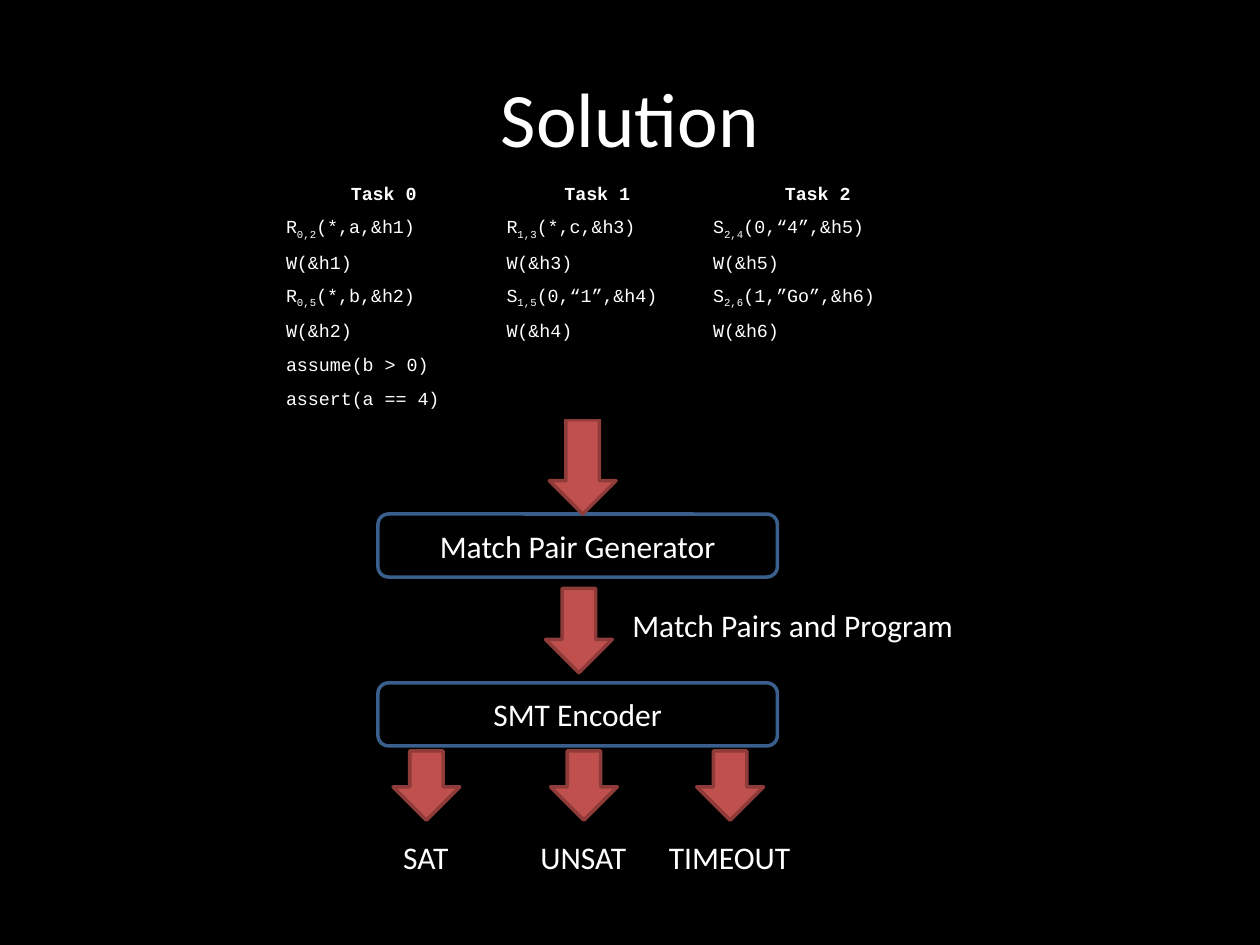
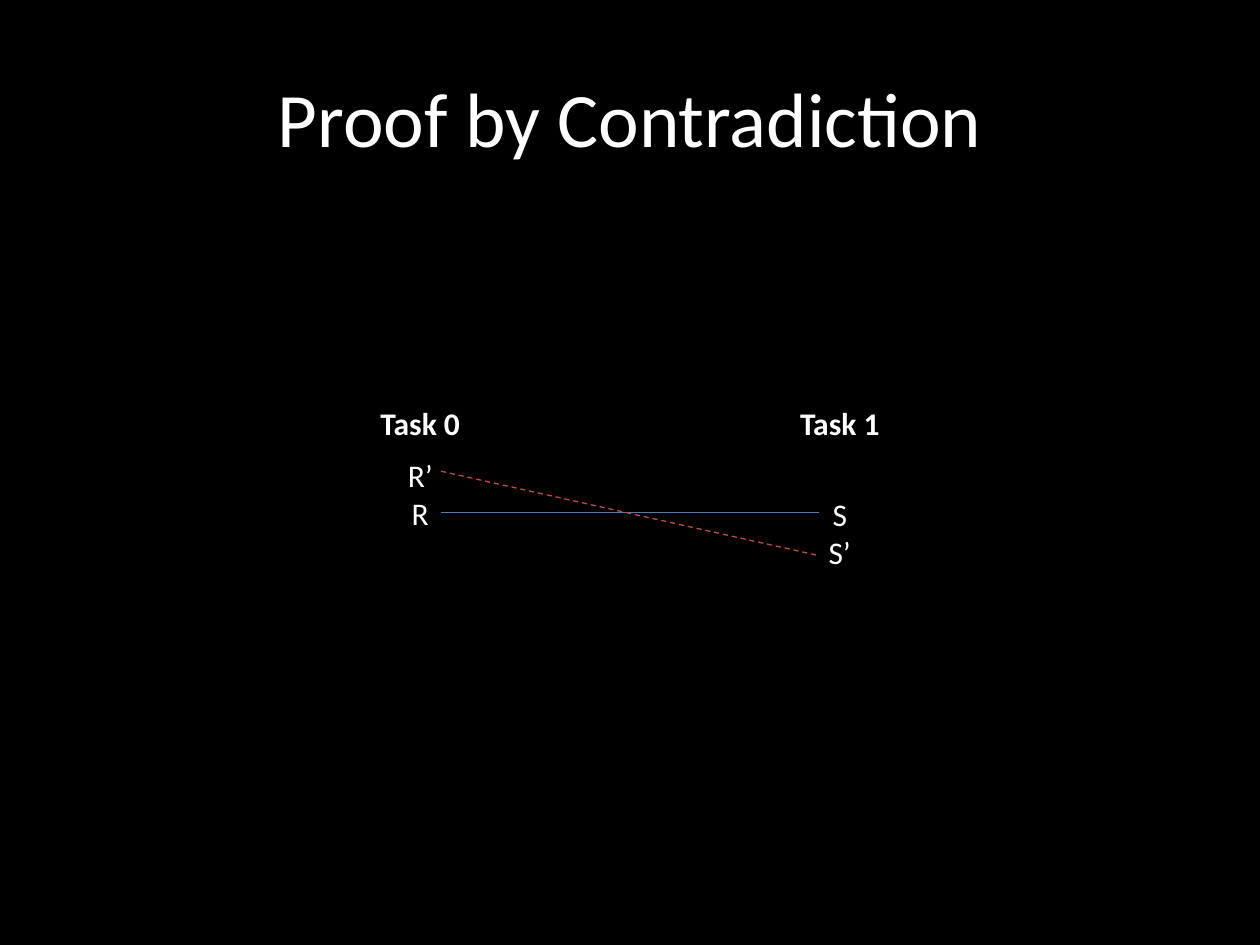
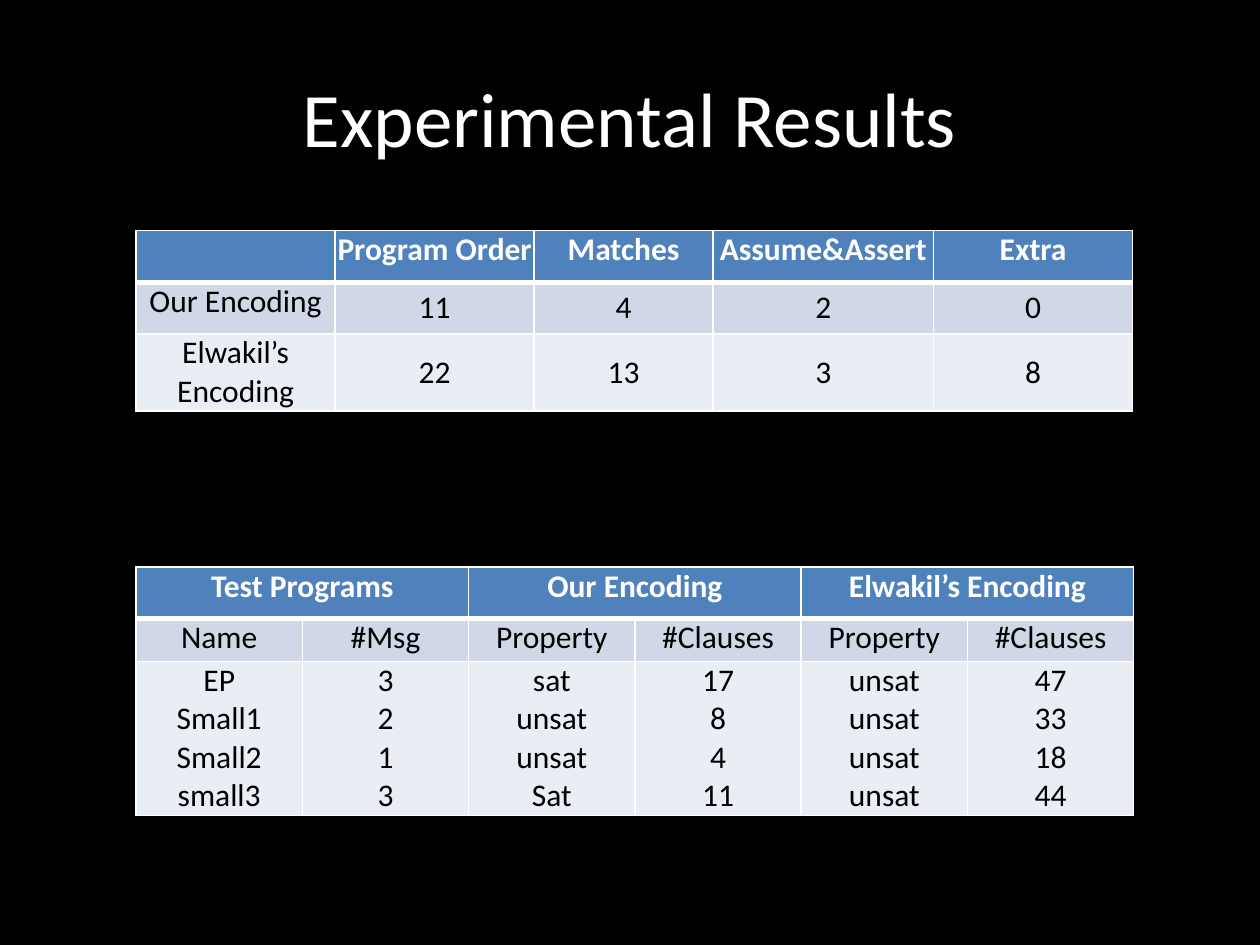
from dataclasses import dataclass
from typing import Optional

from lxml.etree import SubElement
from pptx import Presentation
from pptx.dml.color import RGBColor
from pptx.enum.dml import MSO_LINE
from pptx.enum.shapes import MSO_CONNECTOR, MSO_SHAPE
from pptx.enum.text import MSO_ANCHOR, PP_ALIGN
from pptx.oxml.ns import qn
from pptx.util import Inches, Pt

# Shared look
BLACK = RGBColor(0x00, 0x00, 0x00)
WHITE = RGBColor(0xFF, 0xFF, 0xFF)
NAVY = RGBColor(0x3A, 0x5F, 0x8C)
RED = RGBColor(0xC0, 0x50, 0x4D)
MAROON = RGBColor(0x8E, 0x3B, 0x39)
BLUE = RGBColor(0x4B, 0x7E, 0xBC)
ROSE = RGBColor(0xBF, 0x4C, 0x48)
HEAD = RGBColor(0x4F, 0x81, 0xBD)
BAND = RGBColor(0xD0, 0xD8, 0xE8)
PALE = RGBColor(0xE9, 0xED, 0xF4)
SANS, MONO = "Calibri", "Courier New"
LEFT, MID = PP_ALIGN.LEFT, PP_ALIGN.CENTER
PLAIN = "{2D5ABB26-0587-4C30-8999-92F81FD0307C}"  # table style without grid


@dataclass
class Box:
    x: float
    y: float
    w: float
    h: float

    def lens(self) -> tuple:
        return tuple(Inches(v) for v in (self.x, self.y, self.w, self.h))


@dataclass
class Link:
    start: tuple
    end: tuple
    color: RGBColor
    dash: bool = False


@dataclass
class Grid:
    x: float
    y: float
    cols: list
    rows: list
    cells: list


def put(frame, text: str, *, size: float = 18, font: str = SANS,
        color: RGBColor = WHITE, bold: bool = False, align=MID) -> None:
    """Write lines of text; parts between bars are subscripts."""
    for i, line in enumerate(text.split("\n")):
        para = frame.paragraphs[0] if i == 0 else frame.add_paragraph()
        para.alignment = align
        if not line:  # an empty cell still needs its text size
            SubElement(para._p, qn("a:endParaRPr"), sz=str(int(size * 100)))
            continue
        for j, part in enumerate(line.split("|")):
            run = para.add_run()
            run.text = part
            run.font.size, run.font.name = Pt(size), font
            run.font.bold, run.font.color.rgb = bold, color
            if j % 2:
                run._r.get_or_add_rPr().set("baseline", "-25000")


def page(deck, title: str):
    slide = deck.slides.add_slide(deck.slide_layouts[5])
    head = slide.shapes.title
    head.left, head.top, head.width, head.height = Box(0.5, 0.3, 9, 1.25).lens()
    head.text_frame.vertical_anchor = MSO_ANCHOR.MIDDLE
    put(head.text_frame, title, size=44)
    return slide


def form(slide, kind, box: Box, edge: RGBColor,
         fill: Optional[RGBColor] = None, text: str = "") -> None:
    shape = slide.shapes.add_shape(kind, *box.lens())
    shape.shadow.inherit = False
    shape.line.color.rgb, shape.line.width = edge, Pt(2)
    if fill is None:
        shape.fill.background()
    else:
        shape.fill.solid()
        shape.fill.fore_color.rgb = fill
    if text:
        shape.text_frame.vertical_anchor = MSO_ANCHOR.MIDDLE
        put(shape.text_frame, text)


def arrow(slide, x: float, y: float, high: float) -> None:
    form(slide, MSO_SHAPE.DOWN_ARROW, Box(x, y, 0.53, high), MAROON, RED)


def label(slide, box: Box, text: str, align=MID) -> None:
    frame = slide.shapes.add_textbox(*box.lens()).text_frame
    frame.word_wrap = True
    put(frame, text, align=align)


def join(slide, link: Link) -> None:
    ends = [Inches(v) for v in (*link.start, *link.end)]
    line = slide.shapes.add_connector(MSO_CONNECTOR.STRAIGHT, *ends)
    line.line.color.rgb, line.line.width = link.color, Pt(0.75)
    if link.dash:
        line.line.dash_style = MSO_LINE.DASH
    SubElement(line._element.spPr, qn("a:effectLst"))


def table(slide, grid: Grid):
    size = len(grid.rows), len(grid.cols)
    box = Box(grid.x, grid.y, sum(grid.cols), sum(grid.rows))
    tab = slide.shapes.add_table(*size, *box.lens()).table
    tab._tbl.tblPr.find(qn("a:tableStyleId")).text = PLAIN
    for col, wide in zip(tab.columns, grid.cols):
        col.width = Inches(wide)
    for row, high in zip(tab.rows, grid.rows):
        row.height = Inches(high)
    return tab


def paint(cell, color: RGBColor) -> None:
    cell.fill.solid()
    cell.fill.fore_color.rgb = color


def rule(cell, row: int) -> None:
    """White cell borders, thick below the header row."""
    props = cell._tc.get_or_add_tcPr()
    thick = {"T": row == 1, "B": row == 0}
    for side in "LRTB":
        wide = Pt(3 if thick.get(side) else 1)
        edge = SubElement(props, qn(f"a:ln{side}"), w=str(wide))
        fill = SubElement(edge, qn("a:solidFill"))
        SubElement(fill, qn("a:srgbClr"), val=str(WHITE))


def tasks(slide, grid: Grid, size: float, font: str, align):
    """Black table with a bold, centred header."""
    tab = table(slide, grid)
    for r, row in enumerate(grid.cells):
        for c, text in enumerate(row):
            cell = tab.cell(r, c)
            paint(cell, BLACK)
            put(cell.text_frame, text, size=size, font=font, bold=r == 0,
                align=align if r else MID)
    return tab


def results(slide, grid: Grid, span: int = 1, mid: bool = False) -> None:
    """Banded table; header cells may span columns."""
    tab = table(slide, grid)
    for r, fill in enumerate((HEAD, BAND, PALE)):
        for c in range(len(grid.cols)):
            cell = tab.cell(r, c)
            cell.margin_left = cell.margin_right = 0
            cell.margin_top = cell.margin_bottom = 0
            rule(cell, r)
            paint(cell, fill)
            if mid and r and c:
                cell.vertical_anchor = MSO_ANCHOR.MIDDLE
        step = 1 if r else span
        for i, text in enumerate(grid.cells[r]):
            cell = tab.cell(r, i * step)
            if step > 1:
                cell.merge(tab.cell(r, i * step + step - 1))
            put(cell.text_frame, text, bold=r == 0,
                color=BLACK if r else WHITE)


deck = Presentation()
deck.slide_width, deck.slide_height = Inches(10), Inches(7.5)
back = deck.slide_master.background.fill
back.solid()
back.fore_color.rgb = BLACK

# Slide 1: program, flow and outcomes
slide = page(deck, "Solution")
for y, text in ((4.08, "Match Pair Generator"), (5.42, "SMT Encoder")):
    form(slide, MSO_SHAPE.ROUNDED_RECTANGLE, Box(3, y, 3.17, 0.5), NAVY,
         text=text)
arrow(slide, 4.36, 3.33, 0.75)
arrow(slide, 4.33, 4.67, 0.67)
tasks(slide, Grid(2.17, 1.42, [1.75, 1.64, 1.86], [0.22] * 7, [
    ["Task 0", "Task 1", "Task 2"],
    ["R|0,2|(*,a,&h1)", "R|1,3|(*,c,&h3)", "S|2,4|(0,“4”,&h5)"],
    ["W(&h1)", "W(&h3)", "W(&h5)"],
    ["R|0,5|(*,b,&h2)", "S|1,5|(0,“1”,&h4)", "S|2,6|(1,”Go”,&h6)"],
    ["W(&h2)", "W(&h4)", "W(&h6)"],
    ["assume(b > 0)", "", ""],
    ["assert(a == 4)", "", ""],
]), 10.5, MONO, LEFT)
label(slide, Box(4.92, 4.76, 3, 0.4), "Match Pairs and Program", LEFT)
for x, text in ((3.12, "SAT"), (4.37, "UNSAT"), (5.53, "TIMEOUT")):
    arrow(slide, x, 5.96, 0.55)
    label(slide, Box(x - 0.7, 6.6, 1.92, 0.4), text)

# Slide 2: crossing matches
slide = page(deck, "Proof by Contradiction")
tab = tasks(slide, Grid(1.67, 3.17, [3.33] * 2, [0.41, 1], [
    ["Task 0", "Task 1"],
    ["R’\nR", "S\nS’"],
]), 18, SANS, MID)
tab.cell(1, 1).margin_top = Inches(0.36)  # S starts level with R
for link in (Link((3.5, 4.07), (6.5, 4.07), BLUE),
             Link((3.5, 3.74), (6.5, 4.41), ROSE, dash=True)):
    join(slide, link)

# Slide 3: encoding sizes and test programs
slide = page(deck, "Experimental Results")
results(slide, Grid(1.08, 1.83, [1.58, 1.58, 1.42, 1.75, 1.58],
                    [0.41, 0.41, 0.61], [
    ["", "Program Order", "Matches", "Assume&Assert", "Extra"],
    ["Our Encoding", "11", "4", "2", "0"],
    ["Elwakil’s Encoding", "22", "13", "3", "8"],
]), mid=True)
results(slide, Grid(1.08, 4.5, [1.32] * 6, [0.41, 0.34, 1.2], [
    ["Test Programs", "Our Encoding", "Elwakil’s Encoding"],
    ["Name", "#Msg"] + ["Property", "#Clauses"] * 2,
    ["EP\nSmall1\nSmall2\nsmall3", "3\n2\n1\n3", "sat\nunsat\nunsat\nSat",
     "17\n8\n4\n11", "\n".join(["unsat"] * 4), "47\n33\n18\n44"],
]), span=2)

deck.save("out.pptx")
